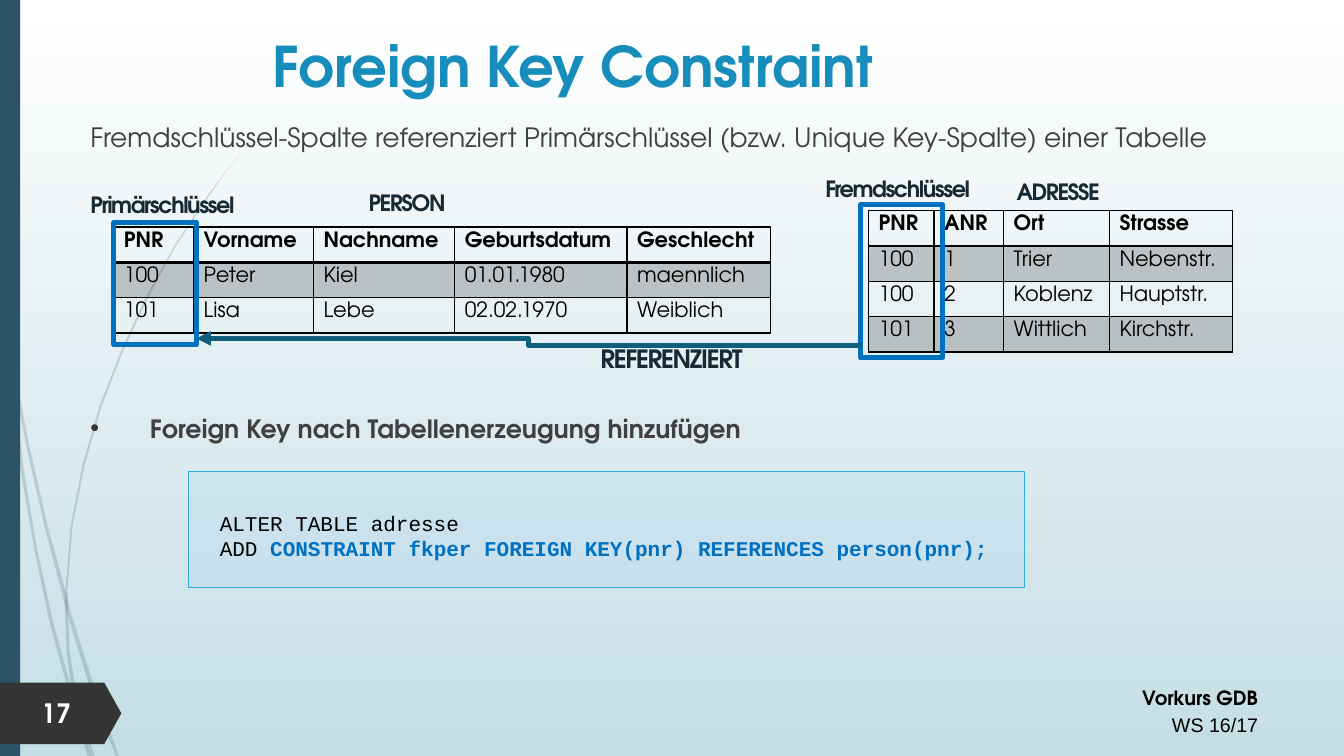
from lxml import etree
from pptx import Presentation
from pptx import util as u
from pptx.dml.color import RGBColor
from pptx.enum import shapes, text
from pptx.oxml import ns

SANS = "TeX Gyre Adventor"
MIDDLE = text.MSO_ANCHOR.MIDDLE


def paint(fill, color, alpha=100):
    fill.solid()
    fill.fore_color.rgb = RGBColor.from_string(color)
    if alpha < 100:
        for node in fill._xPr.iter(ns.qn("a:srgbClr")):
            etree.SubElement(node, ns.qn("a:alpha"), val=str(alpha * 1000))


def write(para, words, size, color="000000", bold=False, font=SANS):
    span = para.add_run()
    span.text = words
    span.font.name = font
    span.font.size = u.Pt(size)
    span.font.bold = bold
    paint(span.font.fill, color)
    return span


deck = Presentation()
deck.slide_width, deck.slide_height = u.Cm(33.87), u.Cm(19.05)
page = deck.slides.add_slide(deck.slide_layouts[5])
backdrop = page.background.fill
backdrop.gradient()
backdrop.gradient_angle = 270
for stop, color, position in zip(backdrop.gradient_stops, ("FFFFFF", "C5DEE5"), (0, 1)):
    stop.color.rgb = RGBColor.from_string(color)
    stop.position = position

strands = [
    [(0, 7.16), (0.15, 8.18), (0.33, 9.55), (0.61, 11.91), (0.94, 13.85), (1.35, 15.72),
     (1.8, 17.35), (1.96, 18.14), (2.29, 19.05), (2.21, 19.05), (1.78, 17.6), (1.27, 15.77),
     (0.88, 13.92), (0.53, 11.94), (0.2, 8.89), (0, 7.59)],
    [(0.28, 8.76), (0.7, 11.05), (1.19, 13.21), (1.65, 14.88), (1.78, 15.42), (2.46, 17.58),
     (3, 19.05), (2.92, 19.05), (2.36, 17.63), (1.7, 15.49), (1.63, 15.21), (1.12, 13.26),
     (0.7, 11.4), (0.33, 9.55)],
    [(6.05, 3.89), (5.59, 4.45), (5.18, 5), (4.39, 6.2), (3.68, 7.48), (3.05, 8.84),
     (2.51, 10.23), (2.08, 11.71), (1.78, 13.26), (1.65, 14.88), (1.63, 15.21),
     (1.68, 16.41), (1.8, 17.35), (1.96, 18.14), (2.29, 19.05), (2.39, 19.05),
     (2.03, 18.06), (1.75, 16.41), (1.7, 14.83), (1.83, 13.26), (2.13, 11.73),
     (2.56, 10.25), (3.1, 8.86), (3.73, 7.51), (4.42, 6.22), (5.21, 5.03), (5.61, 4.45)],
]
for outline in strands:
    points = [(u.Cm(x), u.Cm(y)) for x, y in outline]
    builder = page.shapes.build_freeform(*points[0])
    builder.add_line_segments(points[1:])
    strand = builder.convert_to_shape()
    strand.shadow.inherit = False
    paint(strand.fill, "2E5369", 20)
    strand.line.fill.background()

bands = [
    (shapes.MSO_SHAPE.RECTANGLE, 0, 0, 0.51, 19.05, "2E5369"),
    (shapes.MSO_SHAPE.PENTAGON, 0, 17.2, 3.06, 1.55, "353535"),
]
for kind, left, top, width, height, color in bands:
    band = page.shapes.add_shape(kind, *map(u.Cm, (left, top, width, height)))
    band.shadow.inherit = False
    paint(band.fill, color)
    band.line.fill.background()
band.adjustments[0] = 0.28

title = page.shapes.title
title.left, title.top, title.width, title.height = map(u.Cm, (3.05, 0.6, 22.78, 2.06))
title.text_frame.auto_size = text.MSO_AUTO_SIZE.NONE
title.text_frame.vertical_anchor = MIDDLE
title_para = title.text_frame.paragraphs[0]
title_para.alignment = text.PP_ALIGN.CENTER
write(title_para, "Foreign Key Constraint", 40, "178DBB", True)

person = [
    ("PNR", "Vorname", "Nachname", "Geburtsdatum", "Geschlecht"),
    ("100", "Peter", "Kiel", "01.01.1980", "maennlich"),
    ("101", "Lisa", "Lebe", "02.02.1970", "Weiblich"),
]
adresse = [
    ("PNR", "ANR", "Ort", "Strasse"),
    ("100", "1", "Trier", "Nebenstr."),
    ("100", "2", "Koblenz", "Hauptstr."),
    ("101", "3", "Wittlich", "Kirchstr."),
]
row_height = 0.89
tables = [
    (person, 2.87, 5.72, (2.01, 3.02, 3.56, 4.34, 3.61)),
    (adresse, 21.89, 5.31, (1.65, 1.75, 2.67, 3.1)),
]
for rows, left, top, widths in tables:
    size = (left, top, sum(widths), row_height * len(rows))
    table = page.shapes.add_table(len(rows), len(widths), *map(u.Cm, size)).table
    table.first_row = table.horz_banding = False
    for column, width in zip(table.columns, widths):
        column.width = u.Cm(width)
    for r, row in enumerate(rows):
        for c, words in enumerate(row):
            cell = table.cell(r, c)
            cell.margin_top, cell.margin_bottom = u.Cm(0.12), 0
            write(cell.text_frame.paragraphs[0], words, 15, bold=r == 0)
            props = cell._tc.get_or_add_tcPr()
            for side in ("lnL", "lnR", "lnT", "lnB"):
                thick = (r, side) in ((0, "lnB"), (1, "lnT"))
                border = etree.SubElement(props, ns.qn("a:" + side), w=str(u.Pt(2 if thick else 1)))
                ink = etree.SubElement(border, ns.qn("a:solidFill"))
                etree.SubElement(ink, ns.qn("a:srgbClr"), val="000000")
            if r % 2:
                paint(cell.fill, "000000", 20)
            else:
                cell.fill.background()

for frame in ((2.87, 5.61, 2.08, 3.07), (21.69, 5.16, 2.06, 3.86)):
    key_frame = page.shapes.add_shape(shapes.MSO_SHAPE.RECTANGLE, *map(u.Cm, frame))
    key_frame.shadow.inherit = False
    key_frame.fill.background()
    paint(key_frame.line.fill, "0070C0")
    key_frame.line.width = u.Pt(3.5)

arrow = page.shapes.add_connector(shapes.MSO_CONNECTOR.ELBOW, *map(u.Cm, (21.69, 8.71, 4.95, 8.53)))
paint(arrow.line.fill, "0F5E7C")
arrow.line.width = u.Pt(3.5)
etree.SubElement(arrow.line._get_or_add_ln(), ns.qn("a:tailEnd"), type="triangle")
etree.SubElement(arrow._element.spPr, ns.qn("a:effectLst"))

labels = [
    ("REFERENZIERT", 14.88, 8.53, 18),
    ("Fremdschlüssel", 20.55, 4.29, 16),
    ("Primärschlüssel", 2.03, 4.7, 16),
    ("PERSON", 9.04, 4.65, 16),
    ("ADRESSE", 25.37, 4.37, 16),
]
for words, left, top, size in labels:
    label = page.shapes.add_textbox(*map(u.Cm, (left, top, 5.94, 1.09)))
    label.text_frame.word_wrap = True
    para = label.text_frame.paragraphs[0]
    para.space_before = u.Pt(size * 0.2)
    span = write(para, words, size, "172934", True)
    span.font._element.set("spc", "-100")

statements = [
    ("Fremdschlüssel-Spalte referenziert Primärschlüssel (bzw. Unique Key-Spalte) einer Tabelle",
     2.77, 30.2, 1.78, 19, False),
    ("Foreign Key nach Tabellenerzeugung hinzufügen", 10.13, 28.91, 1.24, 18, True),
]
for words, top, width, height, size, bulleted in statements:
    box = page.shapes.add_textbox(*map(u.Cm, (2.03, top, width, height)))
    box.text_frame.word_wrap = True
    para = box.text_frame.paragraphs[0]
    para.line_spacing = 1.2
    para.space_before = u.Pt(10)
    write(para, words, size, "404040", bulleted)
    if bulleted:
        props = para._p.get_or_add_pPr()
        props.set("marL", str(u.Cm(1.5)))
        props.set("indent", str(-u.Cm(1.5)))
        tint = etree.SubElement(props, ns.qn("a:buClr"))
        etree.SubElement(tint, ns.qn("a:srgbClr"), val="353535")
        etree.SubElement(props, ns.qn("a:buFont"), typeface="Arial")
        etree.SubElement(props, ns.qn("a:buChar"), char="•")

code = page.shapes.add_shape(shapes.MSO_SHAPE.RECTANGLE, *map(u.Cm, (4.75, 11.89, 21.08, 2.92)))
code.shadow.inherit = False
paint(code.fill, "A8D5F0", 27)
paint(code.line.fill, "2FACDC")
code.line.width = u.Pt(0.75)
code.text_frame.word_wrap = True
code.text_frame.vertical_anchor = MIDDLE
code.text_frame.margin_left = u.Cm(0.79)
code.text_frame.margin_top = u.Cm(0.41)
para = code.text_frame.paragraphs[0]
para.alignment = text.PP_ALIGN.LEFT
write(para, "ALTER TABLE adresse", 15, font="Courier New")
para.add_line_break()
write(para, "ADD ", 15, font="Courier New")
write(para, "CONSTRAINT fkper FOREIGN KEY(pnr) REFERENCES person(pnr);", 15, "0070C0", True, "Courier New")

course = page.shapes.add_textbox(*map(u.Cm, (18.75, 17.07, 13.21, 1.63)))
course.text_frame.word_wrap = True
course_para = course.text_frame.paragraphs[0]
term_para = course.text_frame.add_paragraph()
write(course_para, "Vorkurs GDB", 14, bold=True)
write(term_para, "WS 16/17", 14, font="Arial")
for para in (course_para, term_para):
    para.alignment = text.PP_ALIGN.RIGHT
    para.line_spacing = 1.14

number = page.shapes.add_textbox(*map(u.Cm, (0.79, 17.42, 1.78, 1.07)))
number.text_frame.word_wrap = True
number.text_frame.vertical_anchor = MIDDLE
write(number.text_frame.paragraphs[0], "17", 19, "FFFFFF", True)

deck.save("out.pptx")
